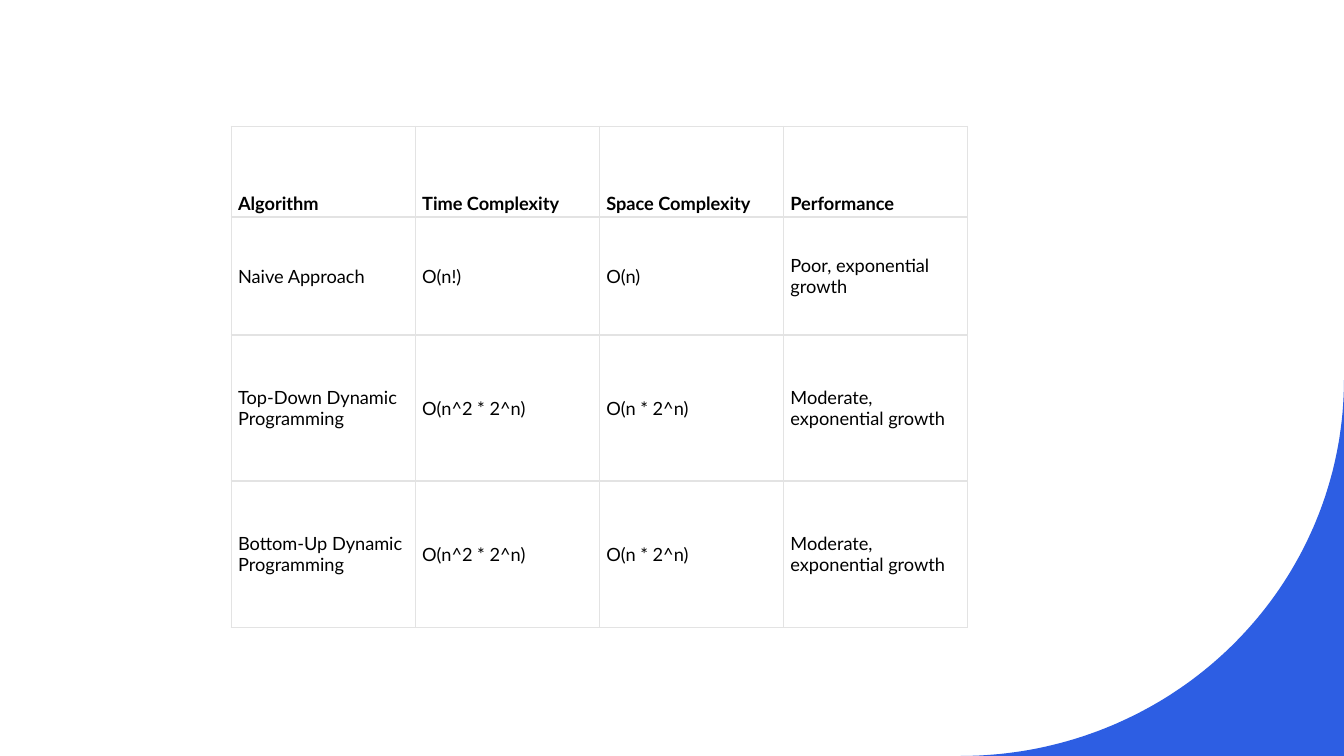
import math

import pptx
import pptx.dml.color
import pptx.enum.text
import pptx.oxml
import pptx.oxml.ns
import pptx.util

Cm = pptx.util.Cm
Pt = pptx.util.Pt
ANCHOR = pptx.enum.text.MSO_ANCHOR

BLUE = "2D5EE3"
WHITE = "FFFFFF"
BLACK = "000000"
GRID = "E3E3E3"

COMPARISON = [
    ["Algorithm", "Time Complexity", "Space Complexity", "Performance"],
    ["Naive Approach", "O(n!)", "O(n)", "Poor, exponential growth"],
    ["Top-Down Dynamic Programming", "O(n^2 * 2^n)", "O(n * 2^n)",
     "Moderate, exponential growth"],
    ["Bottom-Up Dynamic Programming", "O(n^2 * 2^n)", "O(n * 2^n)",
     "Moderate, exponential growth"],
]
ROW_HEIGHTS = [2.29, 2.97, 3.68, 3.68]


def color(hex_value):
    return pptx.dml.color.RGBColor.from_string(hex_value)


def paint(part, hex_value):
    part.fill.solid()
    part.fill.fore_color.rgb = color(hex_value)


def add_corner(slide, left, top, width, height):
    arc = [
        (left + width * math.cos(math.radians(angle)),
         top + height * math.sin(math.radians(angle)))
        for angle in range(91)
    ]
    outline = slide.shapes.build_freeform(*arc[0])
    outline.add_line_segments(arc[1:] + [(left + width, top + height)])
    corner = outline.convert_to_shape()
    paint(corner, BLUE)
    corner.line.fill.background()
    corner.shadow.inherit = False


def set_borders(cell, widths):
    properties = cell._tc.get_or_add_tcPr()
    for position, (side, width) in enumerate(widths.items()):
        border = pptx.oxml.parse_xml(
            f'<a:ln{side} {pptx.oxml.ns.nsdecls("a")} w="{Pt(width)}">'
            f'<a:solidFill><a:srgbClr val="{GRID}"/></a:solidFill></a:ln{side}>'
        )
        properties.insert(position, border)


def format_cell(cell, wording, is_header):
    cell.text_frame.text = wording
    cell.vertical_anchor = ANCHOR.BOTTOM if is_header else ANCHOR.MIDDLE
    cell.margin_left = cell.margin_right = Cm(0.18)
    cell.margin_top = cell.margin_bottom = Cm(0.08)
    paint(cell, WHITE)
    font = cell.text_frame.paragraphs[0].runs[0].font
    font.name = "Lato"
    font.size = Pt(13)
    font.bold = is_header
    font.color.rgb = color(BLACK)


def add_comparison(slide, left, top, width, height):
    last = len(COMPARISON) - 1
    comparison = slide.shapes.add_table(
        len(COMPARISON), len(COMPARISON[0]), left, top, width, height
    ).table
    comparison.first_row = False
    comparison.horz_banding = False
    for column in comparison.columns:
        column.width = width // len(COMPARISON[0])
    for row_index, entries in enumerate(COMPARISON):
        row_share = ROW_HEIGHTS[row_index] / sum(ROW_HEIGHTS)
        comparison.rows[row_index].height = round(height * row_share)
        for column_index, wording in enumerate(entries):
            cell = comparison.cell(row_index, column_index)
            format_cell(cell, wording, row_index == 0)
            set_borders(cell, {
                "L": 0.5,
                "R": 0.5,
                "T": 0.5 if row_index == 0 else 1,
                "B": 0.5 if row_index == last else 1,
            })


def main():
    deck = pptx.Presentation()
    deck.slide_width = Cm(33.87)
    deck.slide_height = Cm(19.05)
    slide = deck.slides.add_slide(deck.slide_layouts[6])
    paint(slide.background, WHITE)
    add_corner(slide, Cm(24.21), Cm(9.58), Cm(9.66), Cm(9.47))
    add_comparison(slide, Cm(5.82), Cm(3.18), Cm(18.56), Cm(12.62))
    deck.save("out.pptx")


if __name__ == "__main__":
    main()
